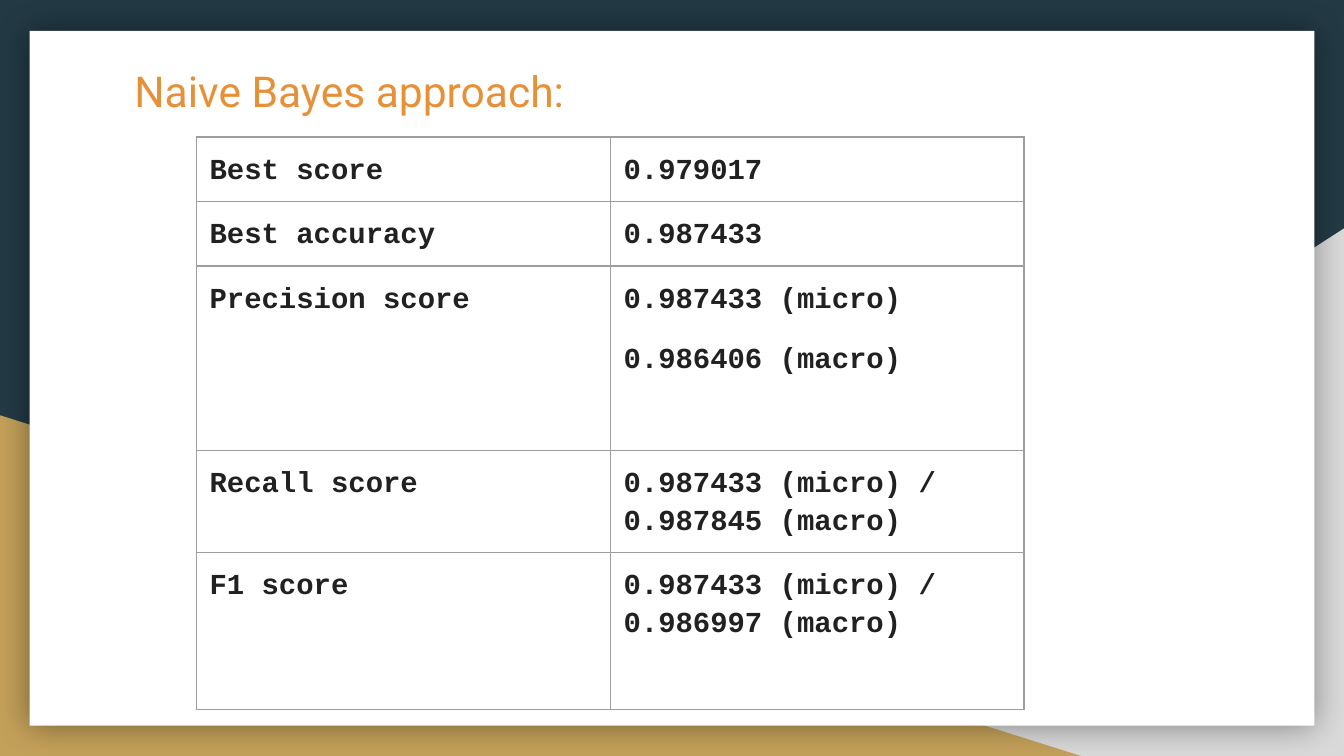
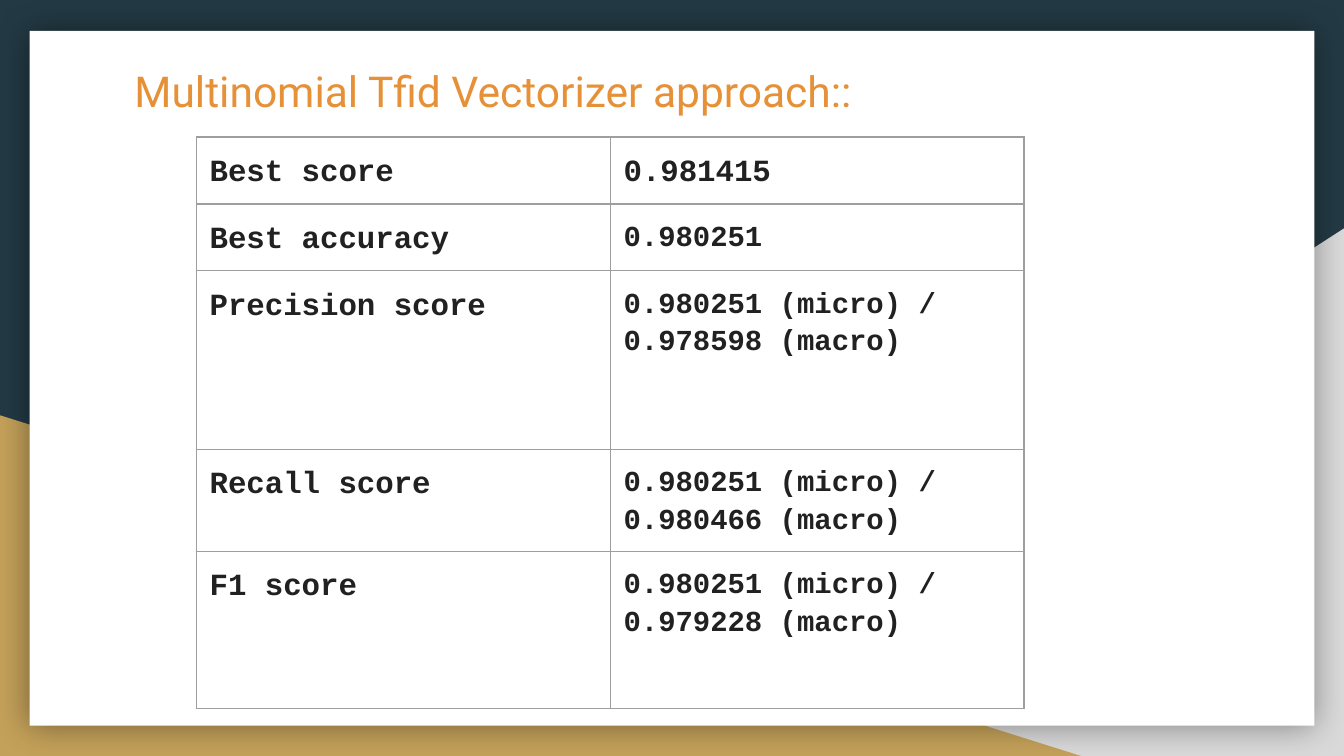
import pptx
import pptx.dml.color
import pptx.enum.shapes
import pptx.enum.text
import pptx.oxml
import pptx.oxml.ns
import pptx.util

Inches, Pt = pptx.util.Inches, pptx.util.Pt
SHAPE = pptx.enum.shapes.MSO_SHAPE
COLORS = {"back": "233A44", "grey": "D9D9D9", "gold": "C4A15A", "panel": "FFFFFF",
          "title": "E69138", "text": "212121", "border": "9E9E9E", "shadow": "000000"}

# Content
LABELS = ["Best score", "Best accuracy", "Precision score", "Recall score", "F1 score"]
# Each value is a list of paragraphs
SLIDES = [
    {"title": "Naive Bayes approach:",
     "values": [["0.979017"], ["0.987433"],
                ["0.987433 (micro)", "0.986406 (macro)"],
                ["0.987433 (micro) / 0.987845 (macro)"],
                ["0.987433 (micro) / 0.986997 (macro)"]],
     "label_size": 15.5, "value_sizes": [15.5] * 5, "precision_height": 1.37},
    {"title": "Multinomial Tfid Vectorizer approach::",
     "values": [["0.981415"], ["0.980251"],
                ["0.980251 (micro) / 0.978598 (macro)"],
                ["0.980251 (micro) / 0.980466 (macro)"],
                ["0.980251 (micro) / 0.979228 (macro)"]],
     "label_size": 16.5, "value_sizes": [16.5] + [15.5] * 4, "precision_height": 1.33},
]

# Layout: preset, left, top, width, height, colour
SLIDE_WIDTH = Inches(10)
SLIDE_HEIGHT = SLIDE_WIDTH * 9 // 16
BACKDROP = [
    (SHAPE.RIGHT_TRIANGLE, 3.92, 1.7, 6.08, 3.93, "grey"),
    (SHAPE.RIGHT_TRIANGLE, 0, 3.09, 8.06, 2.54, "gold"),
    (SHAPE.RECTANGLE, 0.22, 0.23, 9.56, 5.17, "panel"),
]
TITLE_BOX = (0.9, 0.33, 8.21, 1.04)
TABLE_LEFT, TABLE_TOP, COL_WIDTH = 1.46, 1.02, 3.08
ROW_HEIGHTS = [0.44, 0.44, 1.33, 0.72, 1.17]
PRECISION_ROW = 2
INSET = 0.1
SIDES = ("margin_left", "margin_top", "margin_right", "margin_bottom")


def rgb(name):
    return pptx.dml.color.RGBColor.from_string(COLORS[name])


def set_margins(target):
    for side in SIDES:
        setattr(target, side, Inches(INSET))


def add_text(p, text, font, size, color, bold=False):
    p.line_spacing = 1.15
    r = p.add_run()
    r.text = text
    r.font.name, r.font.size, r.font.bold = font, Pt(size), bold
    r.font.color.rgb = rgb(color)


def add_soft_shadow(sp):
    sp.element.spPr.find(pptx.oxml.ns.qn("a:effectLst")).append(pptx.oxml.parse_xml(
        f'<a:outerShdw {pptx.oxml.ns.nsdecls("a")} blurRad="{Pt(18)}" dist="0" '
        f'rotWithShape="0"><a:srgbClr val="{COLORS["shadow"]}">'
        '<a:alpha val="40000"/></a:srgbClr></a:outerShdw>'))


def build_backdrop(layout, slide):
    """Draw the shared backdrop and move it into the layout, behind the title."""
    layout.background.fill.solid()
    layout.background.fill.fore_color.rgb = rgb("back")
    tree = layout.shapes.element
    for i, (preset, x, y, w, h, color) in enumerate(BACKDROP):
        sp = slide.shapes.add_shape(preset, Inches(x), Inches(y), Inches(w), Inches(h))
        sp.fill.solid()
        sp.fill.fore_color.rgb = rgb(color)
        sp.line.fill.background()
        sp.shadow.inherit = False
        if color == "grey":
            sp.element.spPr.xfrm.set("flipH", "1")
        if color == "panel":
            add_soft_shadow(sp)
        sp.element.nvSpPr.cNvPr.set("id", str(20 + i))
        tree.insert(2 + i, sp.element)


def add_title(slide, text):
    title = slide.shapes.title
    title.left, title.top, title.width, title.height = map(Inches, TITLE_BOX)
    tf = title.text_frame
    set_margins(tf)
    tf.word_wrap = True
    tf.auto_size = pptx.enum.text.MSO_AUTO_SIZE.NONE
    tf.vertical_anchor = pptx.enum.text.MSO_ANCHOR.TOP
    p = tf.paragraphs[0]
    p.alignment = pptx.enum.text.PP_ALIGN.LEFT
    p.space_before = p.space_after = Pt(7)
    add_text(p, text, "Roboto", 22.8, "title")


def fill_cell(cell, lines, size):
    set_margins(cell)
    cell.fill.background()
    tc_pr = cell._tc.get_or_add_tcPr()
    for i, side in enumerate("LRTB"):
        tc_pr.insert(i, pptx.oxml.parse_xml(
            f'<a:ln{side} {pptx.oxml.ns.nsdecls("a")} w="{Pt(0.75)}"><a:solidFill>'
            f'<a:srgbClr val="{COLORS["border"]}"/></a:solidFill></a:ln{side}>'))
    tf = cell.text_frame
    for i, line in enumerate(lines):
        p = tf.add_paragraph() if i else tf.paragraphs[0]
        if i:
            p.space_before = Pt(12)
        add_text(p, line, "Courier New", size, "text", bold=True)


def add_scores(slide, content):
    heights = list(ROW_HEIGHTS)
    heights[PRECISION_ROW] = content["precision_height"]
    table = slide.shapes.add_table(
        len(LABELS), 2, Inches(TABLE_LEFT), Inches(TABLE_TOP),
        Inches(2 * COL_WIDTH), Inches(sum(heights))).table
    table.first_row = table.horz_banding = False
    for col in table.columns:
        col.width = Inches(COL_WIDTH)
    rows = zip(LABELS, content["values"], content["value_sizes"], heights)
    for i, (label, value, size, height) in enumerate(rows):
        table.rows[i].height = Inches(height)
        fill_cell(table.cell(i, 0), [label], content["label_size"])
        fill_cell(table.cell(i, 1), value, size)


def main():
    prs = pptx.Presentation()
    prs.slide_width, prs.slide_height = SLIDE_WIDTH, SLIDE_HEIGHT
    layout = prs.slide_layouts[5]
    for i, content in enumerate(SLIDES):
        slide = prs.slides.add_slide(layout)
        if i == 0:
            build_backdrop(layout, slide)
        add_title(slide, content["title"])
        add_scores(slide, content)
    prs.save("out.pptx")


if __name__ == "__main__":
    main()
